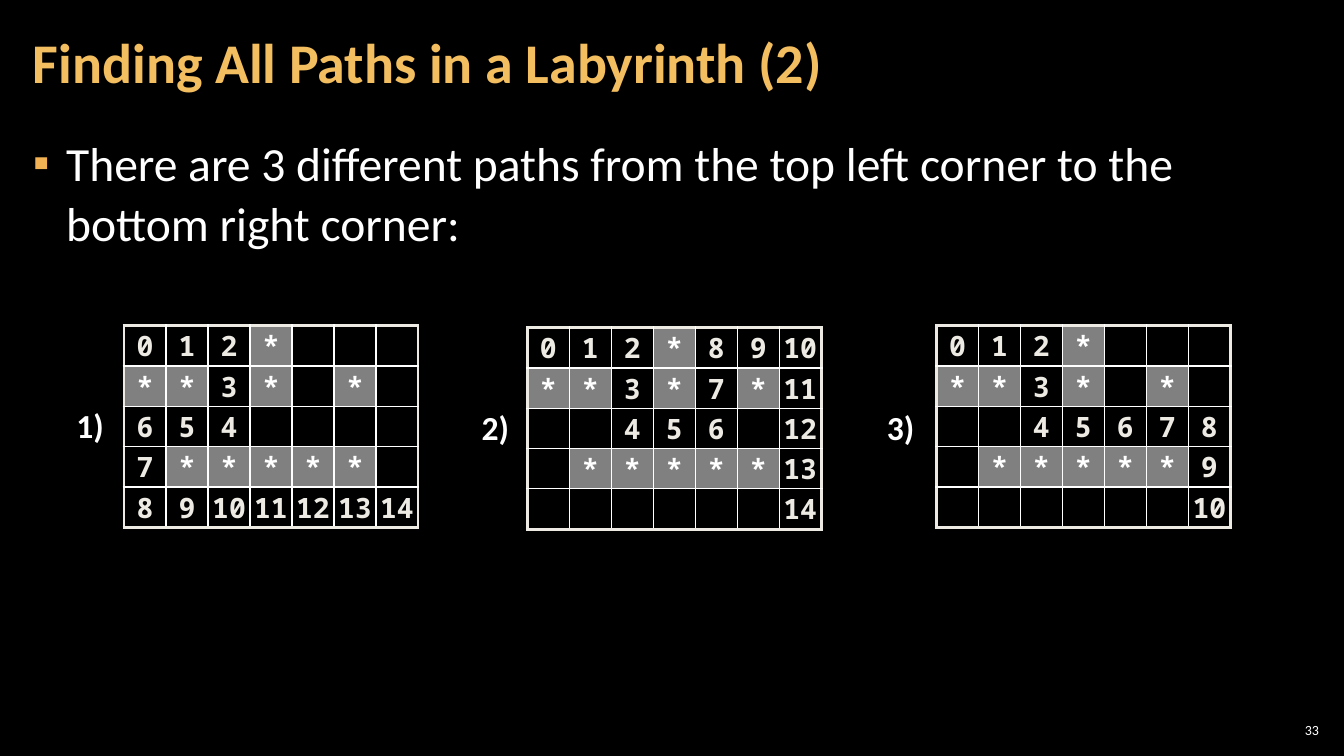
from lxml.etree import SubElement
from pptx import Presentation
from pptx.dml.color import RGBColor
from pptx.enum.text import MSO_ANCHOR as Anchor, MSO_AUTO_SIZE as AutoSize, PP_ALIGN as Align
from pptx.oxml.ns import qn
from pptx.util import Pt

WHITE, IVORY, GOLD, WALL = "FFFFFF", "ECEAE3", "F3BE60", "808080"
COLUMN, ROW = 30, 28.8
PATHS = [
    ("1)", (47.5, 285.8), (88.6, 232.6), [
        "0 1 2 * . . .",
        "* * 3 * . * .",
        "6 5 4 . . . .",
        "7 * * * * * .",
        "8 9 10 11 12 13 14"]),
    ("2)", (337, 287.3), (376.6, 234), [
        "0 1 2 * 8 9 10",
        "* * 3 * 7 * 11",
        ". . 4 5 6 . 12",
        ". * * * * * 13",
        ". . . . . . 14"]),
    ("3)", (626.4, 287.3), (668.9, 232.6), [
        "0 1 2 * . . .",
        "* * 3 * . * .",
        ". . 4 5 6 7 8",
        ". * * * * * 9",
        ". . . . . . 10"]),
]


def color(value):
    return RGBColor.from_string(value)


def assign(target, values):
    for name, value in values.items():
        setattr(target, name, value)


def place(shape, box):
    assign(shape, dict(zip(("left", "top", "width", "height"), map(Pt, box))))


def write(frame, text, size, tint, bold=False, font="Calibri", **layout):
    para = frame.paragraphs[0]
    assign(para, layout)
    span = para.add_run()
    span.text = text
    assign(span.font, {"name": font, "size": Pt(size), "bold": bold})
    span.font.color.rgb = color(tint)


def add_bullet(para, indent, tint, mark):
    props = para._p.get_or_add_pPr()
    props.set("marL", str(Pt(indent)))
    props.set("indent", str(-Pt(indent)))
    SubElement(SubElement(props, qn("a:buClr")), qn("a:srgbClr"), val=tint)
    SubElement(props, qn("a:buChar"), char=mark)


def fill_placeholder(shape, box, anchor):
    place(shape, box)
    frame = shape.text_frame
    assign(frame, {"auto_size": AutoSize.NONE, "word_wrap": True, "vertical_anchor": anchor,
                   "margin_left": Pt(8.5), "margin_right": Pt(8.5),
                   "margin_top": Pt(2.83), "margin_bottom": Pt(2.83)})
    return frame


def add_title(page, box, text):
    frame = fill_placeholder(page.shapes.title, box, Anchor.MIDDLE)
    write(frame, text, 40, GOLD, True, alignment=Align.LEFT, line_spacing=0.9)


def add_body(page, box, text):
    frame = fill_placeholder(page.placeholders[1], box, Anchor.TOP)
    add_bullet(frame.paragraphs[0], 23.75, "F2B254", "▪")
    write(frame, text, 34, WHITE, line_spacing=1.05, space_before=Pt(0), space_after=Pt(6))


def add_label(page, box, text):
    frame = page.shapes.add_textbox(*map(Pt, box)).text_frame
    frame.word_wrap = False
    write(frame, text, 24, WHITE, True)


def add_page_number(page, box, text):
    frame = page.shapes.add_textbox(*map(Pt, box)).text_frame
    assign(frame, {"word_wrap": True, "vertical_anchor": Anchor.MIDDLE})
    assign(frame, {f"margin_{side}": Pt(2.83) for side in ("left", "right", "top", "bottom")})
    write(frame, text, 10, WHITE, alignment=Align.RIGHT)


def set_borders(cell, outer_sides):
    props = cell._tc.get_or_add_tcPr()
    for side in "LRTB":
        tint, width = (IVORY, 2.25) if side in outer_sides else (WHITE, 1)
        line = SubElement(props, qn(f"a:ln{side}"), w=str(Pt(width)))
        SubElement(SubElement(line, qn("a:solidFill")), qn("a:srgbClr"), val=tint)


def format_cell(cell, text, outer_sides):
    assign(cell, {"margin_left": Pt(2.83), "margin_right": Pt(2.83), "margin_top": 0,
                  "margin_bottom": 0, "vertical_anchor": Anchor.MIDDLE})
    set_borders(cell, outer_sides)
    if text == "*":
        cell.fill.solid()
        cell.fill.fore_color.rgb = color(WALL)
    else:
        cell.fill.background()
    if text != ".":
        write(cell.text_frame, text, 20, WHITE if text == "*" else IVORY, True,
              "Noto Sans Mono", alignment=Align.CENTER)


def add_labyrinth(page, corner, lines):
    cells = [line.split() for line in lines]
    rows, columns = len(cells), len(cells[0])
    box = (*corner, columns * COLUMN, rows * ROW)
    table = page.shapes.add_table(rows, columns, *map(Pt, box)).table
    assign(table, {"first_row": False, "horz_banding": False})
    for column in table.columns:
        column.width = Pt(COLUMN)
    for row, texts in enumerate(cells):
        table.rows[row].height = Pt(ROW)
        for column, text in enumerate(texts):
            edges = {"L": column == 0, "R": column == columns - 1,
                     "T": row == 0, "B": row == rows - 1}
            format_cell(table.cell(row, column), text, [side for side in edges if edges[side]])


def build_slide(deck):
    page = deck.slides.add_slide(deck.slide_layouts[1])
    page.background.fill.solid()
    page.background.fill.fore_color.rgb = color("000000")
    add_title(page, (15, 3, 754, 87), "Finding All Paths in a Labyrinth (2)")
    add_body(page, (15, 90.7, 929.5, 438.5),
             "There are 3 different paths from the top left corner to the bottom right corner:")
    for label, label_corner, grid_corner, lines in PATHS:
        add_label(page, (*label_corner, 34.5, 37.5), label)
        add_labyrinth(page, grid_corner, lines)
    add_page_number(page, (911, 514, 34, 15), "33")


def main():
    deck = Presentation()
    assign(deck, {"slide_width": Pt(960), "slide_height": Pt(540)})
    build_slide(deck)
    deck.save("out.pptx")


if __name__ == "__main__":
    main()
